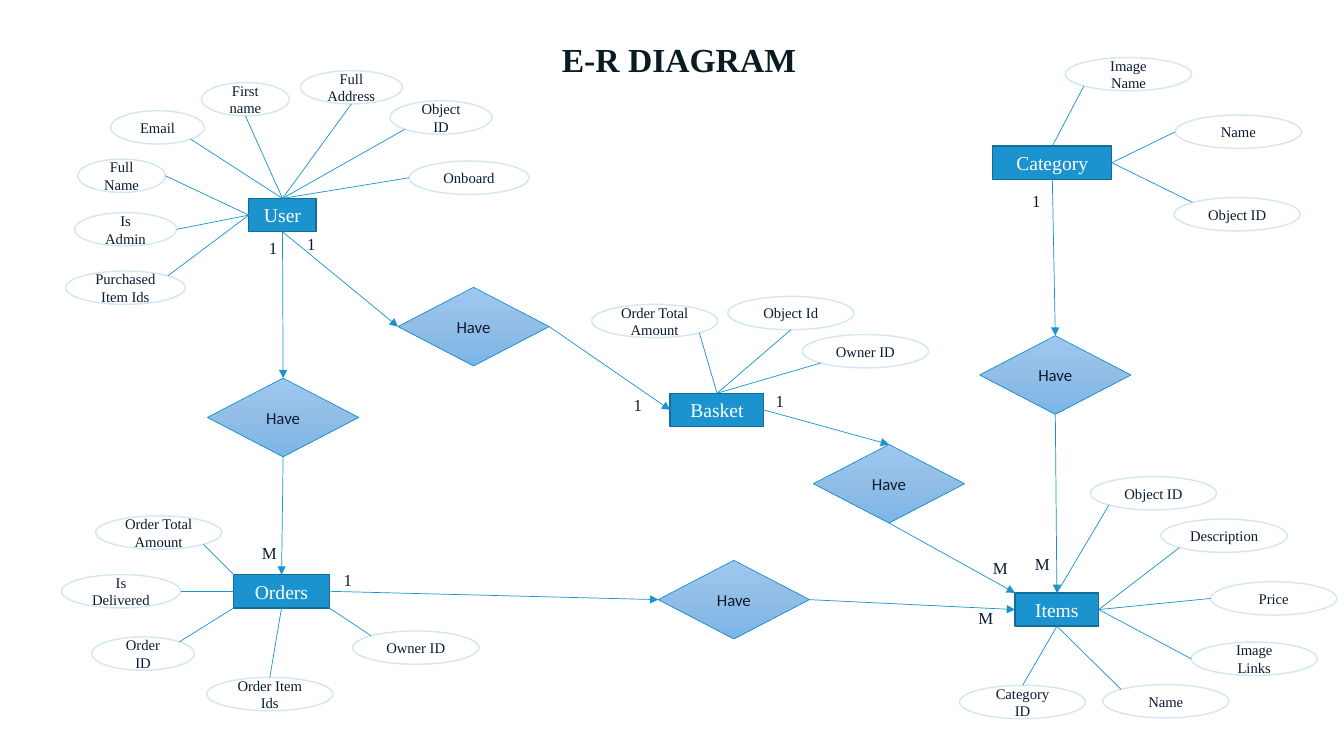
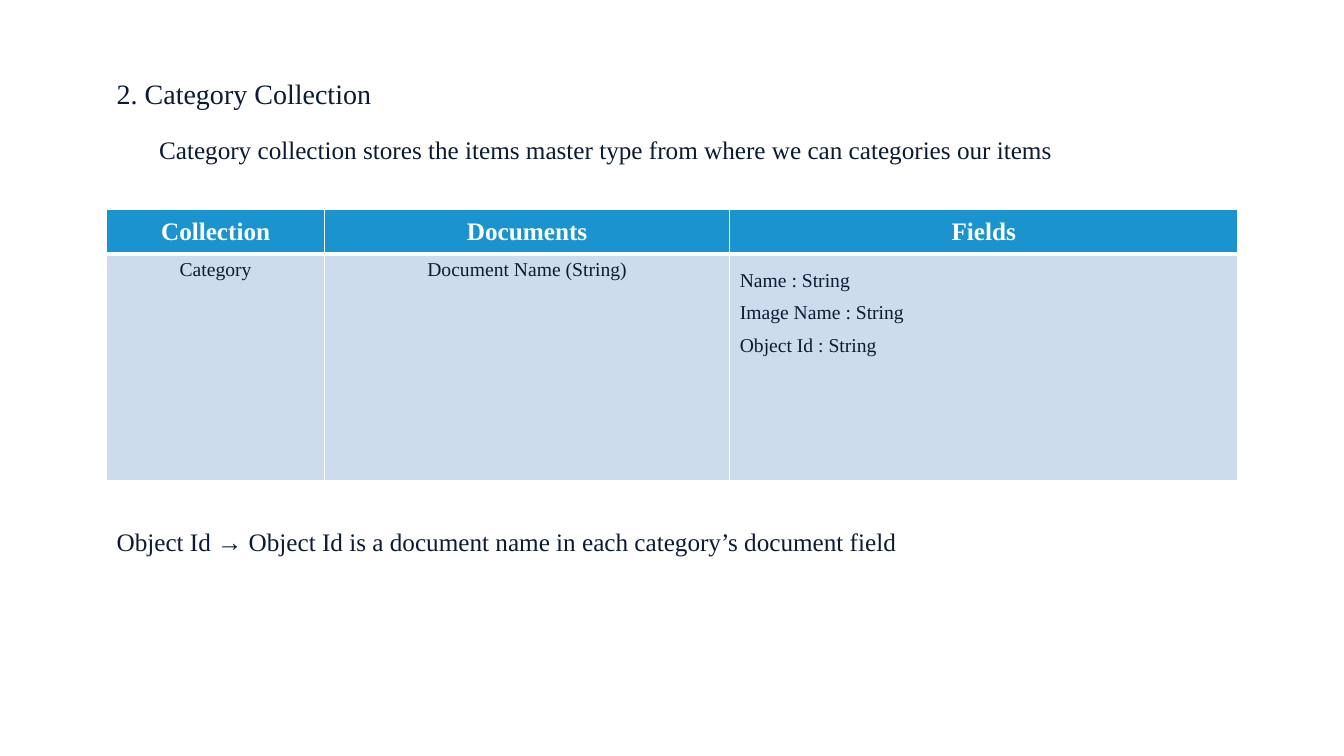
from dataclasses import dataclass
from enum import Enum
from math import sqrt

from lxml.etree import SubElement
from pptx import Presentation
from pptx.dml.color import RGBColor
from pptx.enum.shapes import MSO_CONNECTOR, MSO_SHAPE
from pptx.enum.text import MSO_ANCHOR, MSO_AUTO_SIZE, PP_ALIGN
from pptx.oxml.ns import qn
from pptx.util import Cm, Pt

WHITE = RGBColor(0xFF, 0xFF, 0xFF)
TITLE_INK = RGBColor(0x0B, 0x1B, 0x22)
INK = RGBColor(0x0C, 0x1B, 0x32)
BLUE = RGBColor(0x1A, 0x93, 0xCE)
DARK_BLUE = RGBColor(0x13, 0x6D, 0x98)
PALE_BLUE = RGBColor(0xD2, 0xE7, 0xF1)
CELL_BLUE = RGBColor(0xCD, 0xDC, 0xED)
DIAMOND_STOPS = {0: "9EC8F0", 50: "91BDE6", 100: "7CB5E7"}

SERIF = "Times New Roman"
SANS = "Calibri"
NODE_HEIGHT = 0.84
DIAMOND_WIDTH, DIAMOND_HEIGHT = 3.81, 1.98
WIDE = 3.18
ELLIPSE_INSET = (1 - sqrt(0.5)) / 2


class Site(Enum):
    """Connection point as fractions of a box's width and height."""
    TOP = (0.5, 0)
    BOTTOM = (0.5, 1)
    LEFT = (0, 0.5)
    RIGHT = (1, 0.5)
    TOP_LEFT = (0, 0)
    TOP_RIGHT = (1, 0)
    BOTTOM_LEFT = (0, 1)
    BOTTOM_RIGHT = (1, 1)


@dataclass(frozen=True)
class Box:
    """Frame in centimetres."""
    left: float
    top: float
    width: float
    height: float = NODE_HEIGHT

    def point(self, site: Site, corner_inset: float = 0) -> tuple[float, float]:
        across, down = site.value
        if 0.5 not in site.value:
            across, down = (abs(part - corner_inset) for part in (across, down))
        return self.left + across * self.width, self.top + down * self.height

    def lengths(self) -> tuple[Cm, ...]:
        return tuple(Cm(value) for value in (self.left, self.top, self.width, self.height))


@dataclass(frozen=True)
class TextStyle:
    size: float
    color: RGBColor = INK
    font: str = SERIF
    bold: bool = False
    align: PP_ALIGN = PP_ALIGN.LEFT


@dataclass(frozen=True)
class Attribute:
    text: str
    box: Box
    site: Site
    entity_site: Site


@dataclass(frozen=True)
class Relationship:
    source: str
    source_site: Site
    left: float
    top: float
    entry: Site
    exit: Site
    target: str
    target_site: Site


TITLE = TextStyle(24, TITLE_INK, bold=True, align=PP_ALIGN.CENTER)
ENTITY = TextStyle(14, WHITE, align=PP_ALIGN.CENTER)
ATTRIBUTE = TextStyle(10.5, align=PP_ALIGN.CENTER)
RELATION = TextStyle(12, font=SANS, align=PP_ALIGN.CENTER)
CARDINALITY = TextStyle(12)
HEADING = TextStyle(20)
BODY = TextStyle(18)
HEADER_CELL = TextStyle(18, WHITE, bold=True, align=PP_ALIGN.CENTER)
CENTERED_CELL = TextStyle(14, align=PP_ALIGN.CENTER)
FIELD_CELL = TextStyle(14)

ENTITIES = {
    "User": Box(6.27, 5, 1.7),
    "Orders": Box(5.89, 14.48, 2.41),
    "Items": Box(25.58, 14.94, 2.11),
    "Basket": Box(16.89, 9.91, 2.36),
    "Category": Box(25.02, 3.68, 3),
}

ATTRIBUTES = {
    "User": [
        Attribute("First\nname", Box(5.08, 2.08, 2.21), Site.BOTTOM, Site.TOP),
        Attribute("Full\nAddress", Box(7.57, 1.78, 2.57), Site.BOTTOM, Site.TOP),
        Attribute("Full\nName", Box(1.96, 4.01, 2.21), Site.RIGHT, Site.LEFT),
        Attribute("Is\nAdmin", Box(1.88, 5.36, 2.57), Site.RIGHT, Site.LEFT),
        Attribute("Object ID", Box(9.83, 2.54, 2.57), Site.BOTTOM_LEFT, Site.TOP),
        Attribute("Email", Box(2.79, 2.79, 2.36), Site.BOTTOM_RIGHT, Site.TOP),
        Attribute("Onboard", Box(10.31, 4.06, 3.02), Site.LEFT, Site.TOP),
        Attribute("Purchased Item Ids", Box(1.65, 6.83, 3.02), Site.TOP_RIGHT, Site.LEFT),
    ],
    "Orders": [
        Attribute("Is Delivered", Box(1.55, 14.48, 3), Site.RIGHT, Site.LEFT),
        Attribute("Order ID", Box(2.31, 16.05, 2.59), Site.TOP_RIGHT, Site.BOTTOM_LEFT),
        Attribute("Order Total Amount", Box(2.41, 13, WIDE), Site.BOTTOM_RIGHT, Site.TOP_LEFT),
        Attribute("Order Item Ids", Box(5.21, 17.07, WIDE), Site.TOP, Site.BOTTOM),
        Attribute("Owner ID", Box(8.89, 15.9, WIDE), Site.TOP_LEFT, Site.BOTTOM_RIGHT),
    ],
    "Items": [
        Attribute("Category ID", Box(24.18, 17.27, WIDE), Site.TOP, Site.BOTTOM),
        Attribute("Description", Box(29.26, 13.08, WIDE), Site.BOTTOM_LEFT, Site.RIGHT),
        Attribute("Image Links", Box(30.02, 16.18, WIDE), Site.LEFT, Site.RIGHT),
        Attribute("Name", Box(27.79, 17.25, WIDE), Site.TOP_LEFT, Site.BOTTOM),
        Attribute("Object ID", Box(27.48, 12.01, WIDE), Site.BOTTOM_LEFT, Site.TOP),
        Attribute("Price", Box(30.51, 14.66, WIDE), Site.LEFT, Site.RIGHT),
    ],
    "Basket": [
        Attribute("Object Id", Box(18.34, 7.47, WIDE), Site.BOTTOM, Site.TOP),
        Attribute("Order Total Amount", Box(14.91, 7.67, WIDE), Site.BOTTOM_RIGHT, Site.TOP),
        Attribute("Owner ID", Box(20.22, 8.43, WIDE), Site.BOTTOM_LEFT, Site.TOP),
    ],
    "Category": [
        Attribute("Image Name", Box(26.85, 1.45, WIDE), Site.BOTTOM_LEFT, Site.TOP),
        Attribute("Name", Box(29.62, 2.9, WIDE), Site.LEFT, Site.RIGHT),
        Attribute("Object ID", Box(29.59, 4.98, WIDE), Site.TOP_LEFT, Site.RIGHT),
    ],
}

RELATIONSHIPS = [
    Relationship("User", Site.BOTTOM, 5.23, 9.53, Site.TOP, Site.BOTTOM, "Orders", Site.TOP),
    Relationship("User", Site.BOTTOM, 10.03, 7.24, Site.LEFT, Site.RIGHT, "Basket", Site.LEFT),
    Relationship("Orders", Site.RIGHT, 16.59, 14.12, Site.LEFT, Site.RIGHT, "Items", Site.LEFT),
    Relationship("Category", Site.BOTTOM, 24.69, 8.46, Site.TOP, Site.BOTTOM, "Items", Site.TOP),
    Relationship("Basket", Site.RIGHT, 20.5, 11.2, Site.TOP, Site.BOTTOM, "Items", Site.TOP_LEFT),
]

CARDINALITIES = {
    "1": [(6.53, 5.87), (7.49, 5.77), (15.72, 9.83), (8.41, 14.22), (25.76, 4.67), (19.3, 9.73)],
    "M": [(6.35, 13.56), (24.41, 15.19), (25.83, 13.84), (24.77, 13.94)],
}
CARDINALITY_WIDTHS = {"1": 0.74, "M": 0.89}

COLUMN_WIDTHS = [5.49, 10.21, 12.8]
ROW_HEIGHTS = [1.12, 5.72]
TABLE_ROWS = [
    ["Collection", "Documents", "Fields"],
    ["Category", "Document Name (String)",
     "Name : String\nImage Name : String\nObject Id : String"],
]


def write_text(frame, text: str, style: TextStyle) -> None:
    frame.text = text
    for paragraph in frame.paragraphs:
        paragraph.alignment = style.align
        font = paragraph.font
        font.name, font.size, font.bold = style.font, Pt(style.size), style.bold
        font.color.rgb = style.color


def add_text(slide, text: str, box: Box, style: TextStyle, wrap: bool = False,
             bullet: str = "") -> None:
    frame = slide.shapes.add_textbox(*box.lengths()).text_frame
    frame.word_wrap = wrap
    frame.auto_size = MSO_AUTO_SIZE.SHAPE_TO_FIT_TEXT
    if bullet:
        properties = frame.paragraphs[0]._p.get_or_add_pPr()
        properties.set("marL", str(Cm(0.79)))
        properties.set("indent", str(-Cm(0.79)))
        SubElement(properties, qn("a:buChar"), char=bullet)
    write_text(frame, text, style)


def add_node(slide, kind: MSO_SHAPE, text: str, box: Box, style: TextStyle,
             fill: RGBColor, line: RGBColor, line_width: float = 1):
    shape = slide.shapes.add_shape(kind, *box.lengths())
    shape.shadow.inherit = False
    shape.fill.solid()
    shape.fill.fore_color.rgb = fill
    shape.line.color.rgb = line
    shape.line.width = Pt(line_width)
    shape.text_frame.vertical_anchor = MSO_ANCHOR.MIDDLE
    write_text(shape.text_frame, text, style)
    return shape


def add_diamond(slide, box: Box) -> None:
    shape = add_node(slide, MSO_SHAPE.DIAMOND, "Have", box, RELATION, WHITE, BLUE, 0.5)
    shape.fill.gradient()
    shape.fill.gradient_angle = 270
    stops = shape._element.spPr.find(".//" + qn("a:gsLst"))
    stops.clear()
    for percent, color in DIAMOND_STOPS.items():
        stop = SubElement(stops, qn("a:gs"), pos=str(percent * 1000))
        SubElement(stop, qn("a:srgbClr"), val=color)


def add_line(slide, start: tuple[float, float], end: tuple[float, float],
             arrow: bool = False) -> None:
    connector = slide.shapes.add_connector(
        MSO_CONNECTOR.STRAIGHT, *(Cm(value) for value in (*start, *end)))
    connector.line.color.rgb = BLUE
    connector.line.width = Pt(0.5)
    if arrow:
        SubElement(connector.line._get_or_add_ln(), qn("a:tailEnd"), type="triangle")
    SubElement(connector._element.spPr, qn("a:effectLst"))


def set_borders(cell, widths: dict[str, float]) -> None:
    """Give the cell white borders; widths maps L, R, T and B to points."""
    properties = cell._tc.get_or_add_tcPr()
    for index, (side, width) in enumerate(widths.items()):
        border = SubElement(properties, qn(f"a:ln{side}"), w=str(Pt(width)))
        fill = SubElement(border, qn("a:solidFill"))
        SubElement(fill, qn("a:srgbClr"), val=str(WHITE))
        properties.insert(index, border)


def build_diagram(slide) -> None:
    add_text(slide, "E-R DIAGRAM", Box(0.36, 0.86, 33.5, 1.27), TITLE, wrap=True)
    for name, box in ENTITIES.items():
        add_node(slide, MSO_SHAPE.RECTANGLE, name, box, ENTITY, BLUE, DARK_BLUE)
        for attribute in ATTRIBUTES[name]:
            add_node(slide, MSO_SHAPE.OVAL, attribute.text, attribute.box,
                     ATTRIBUTE, WHITE, PALE_BLUE)
            add_line(slide, box.point(attribute.entity_site),
                     attribute.box.point(attribute.site, ELLIPSE_INSET))
    for relationship in RELATIONSHIPS:
        diamond = Box(relationship.left, relationship.top, DIAMOND_WIDTH, DIAMOND_HEIGHT)
        add_diamond(slide, diamond)
        source, target = ENTITIES[relationship.source], ENTITIES[relationship.target]
        add_line(slide, source.point(relationship.source_site),
                 diamond.point(relationship.entry), arrow=True)
        add_line(slide, diamond.point(relationship.exit),
                 target.point(relationship.target_site), arrow=True)
    for label, places in CARDINALITIES.items():
        for left, top in places:
            add_text(slide, label, Box(left, top, CARDINALITY_WIDTHS[label], 0.76), CARDINALITY)


def add_collection_table(slide) -> None:
    box = Box(2.69, 5.28, sum(COLUMN_WIDTHS), sum(ROW_HEIGHTS))
    table = slide.shapes.add_table(len(ROW_HEIGHTS), len(COLUMN_WIDTHS), *box.lengths()).table
    for column, width in zip(table.columns, COLUMN_WIDTHS):
        column.width = Cm(width)
    for row, height in zip(table.rows, ROW_HEIGHTS):
        row.height = Cm(height)
    for row_index, texts in enumerate(TABLE_ROWS):
        header = row_index == 0
        for column_index, text in enumerate(texts):
            cell = table.cell(row_index, column_index)
            fields = not header and column_index == 2
            style = HEADER_CELL if header else FIELD_CELL if fields else CENTERED_CELL
            write_text(cell.text_frame, text, style)
            if fields:
                for paragraph in cell.text_frame.paragraphs:
                    paragraph.line_spacing = 1.5
            cell.vertical_anchor = MSO_ANCHOR.MIDDLE if header else MSO_ANCHOR.TOP
            cell.fill.solid()
            cell.fill.fore_color.rgb = BLUE if header else CELL_BLUE
            top, bottom = (1, 3) if header else (3, 1)
            set_borders(cell, {"L": 1, "R": 1, "T": top, "B": bottom})


def build_collection(slide) -> None:
    add_collection_table(slide)
    add_text(slide, "2. Category Collection", Box(2.69, 1.8, 6.99, 1.12), HEADING)
    add_text(slide, "Category collection stores the items master type from where we can "
             "categories our items", Box(3.76, 3.25, 24.05, 1.02), BODY, bullet="✓")
    add_text(slide, "Object Id → Object Id is a document name in each category’s document field",
             Box(2.69, 13.13, 20.52, 1.02), BODY)


def main() -> None:
    presentation = Presentation()
    presentation.slide_width, presentation.slide_height = Cm(33.87), Cm(19.05)
    blank = presentation.slide_layouts[6]
    for build in (build_diagram, build_collection):
        build(presentation.slides.add_slide(blank))
    presentation.save("out.pptx")


if __name__ == "__main__":
    main()
